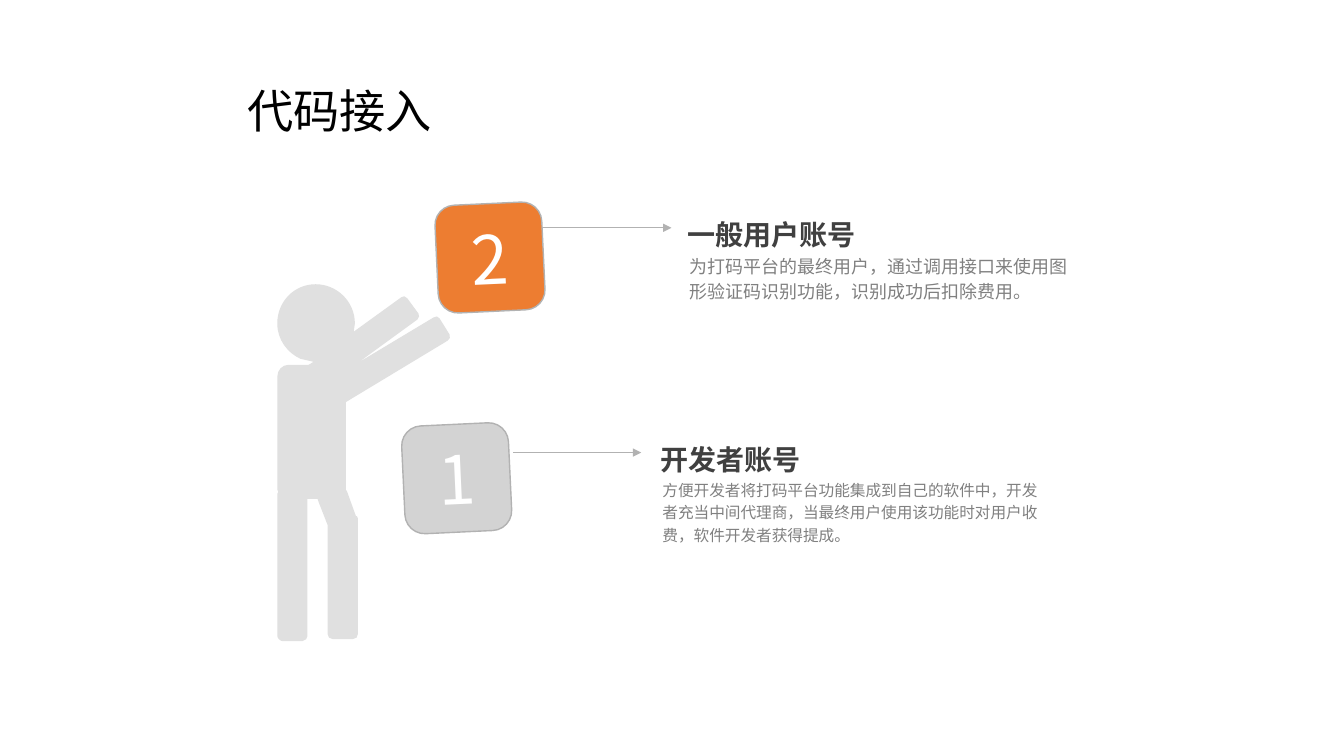
"""Build a slide on the two account types used for code access."""
from lxml import etree
from pptx import Presentation
from pptx.dml.color import RGBColor
from pptx.enum.shapes import MSO_CONNECTOR as Connector, MSO_SHAPE as Preset
from pptx.enum.text import MSO_ANCHOR as Anchor, PP_ALIGN as Align
from pptx.oxml.ns import qn
from pptx.util import Inches, Pt

ORANGE = RGBColor(0xED, 0x7D, 0x31)
LIGHT_GRAY = RGBColor(0xD3, 0xD3, 0xD3)
FIGURE_GRAY = RGBColor(0xE0, 0xE0, 0xE0)
LINE_GRAY = RGBColor(0xB2, 0xB2, 0xB2)
BODY_GRAY = RGBColor(0x80, 0x80, 0x80)
HEADING_GRAY = RGBColor(0x40, 0x40, 0x40)
WHITE = RGBColor(0xFF, 0xFF, 0xFF)
BLACK = RGBColor(0, 0, 0)

FONT = "Calibri"
NUMBER_FONT = "Noto Sans CJK JP"

FIGURE_START = (3.13, 2.82)
FIGURE_SEGMENTS = [
    (3.34, 2.82, 3.52, 2.99, 3.52, 3.21), (3.52, 3.23, 3.51, 3.26, 3.51, 3.28),
    (3.51, 3.29), (3.98, 2.95), (4, 2.93, 4.02, 2.94, 4.04, 2.96),
    (4.15, 3.11), (4.16, 3.13, 4.16, 3.15, 4.14, 3.17), (3.55, 3.6),
    (4.3, 3.15), (4.32, 3.13, 4.35, 3.14, 4.36, 3.16),
    (4.46, 3.32), (4.47, 3.34, 4.46, 3.37, 4.44, 3.38),
    (3.43, 3.99), (3.43, 4.84), (3.43, 4.86), (3.44, 4.87), (3.53, 5.12),
    (3.54, 5.12), (3.55, 5.13, 3.55, 5.15, 3.55, 5.16),
    (3.55, 6.29), (3.55, 6.32, 3.53, 6.34, 3.5, 6.34),
    (3.3, 6.34), (3.27, 6.34, 3.25, 6.32, 3.25, 6.29),
    (3.25, 5.21), (3.16, 4.98), (3.15, 4.95), (3.05, 4.95),
    (3.05, 6.31), (3.05, 6.33, 3.03, 6.36, 3, 6.36),
    (2.8, 6.36), (2.78, 6.36, 2.75, 6.33, 2.75, 6.31),
    (2.75, 4.9), (2.76, 4.88), (2.75, 4.87, 2.75, 4.85, 2.75, 4.84),
    (2.75, 3.74), (2.75, 3.67, 2.8, 3.62, 2.86, 3.62),
    (3.06, 3.62), (3.11, 3.59), (2.98, 3.56),
    (2.85, 3.5, 2.75, 3.37, 2.75, 3.21), (2.75, 2.99, 2.92, 2.82, 3.13, 2.82),
]


def format_paragraph(paragraph, size, color, font=FONT, bold=False, spacing=None):
    """Set the font and line spacing of a whole paragraph."""
    paragraph.font.name = font
    paragraph.font.size = Pt(size)
    paragraph.font.bold = bold
    paragraph.font.color.rgb = color
    paragraph.line_spacing = spacing


def add_title(slide, text):
    """Place and fill the title placeholder."""
    title = slide.shapes.title
    title.left, title.top = Inches(2.35), Inches(0.4)
    title.width, title.height = Inches(8.62), Inches(1.45)
    title.text_frame.text = text
    title.text_frame.vertical_anchor = Anchor.MIDDLE
    paragraph = title.text_frame.paragraphs[0]
    paragraph.alignment = Align.LEFT
    format_paragraph(paragraph, 33, BLACK, spacing=0.9)


def add_number_tile(slide, number, left, top, fill):
    """Add a tilted rounded tile with a large number."""
    tile = slide.shapes.add_shape(
        Preset.ROUNDED_RECTANGLE, Inches(left), Inches(top), Inches(1.06), Inches(1.07))
    tile.adjustments[0] = 0.186
    tile.rotation = 357.3
    tile.shadow.inherit = False
    tile.fill.solid()
    tile.fill.fore_color.rgb = fill
    tile.line.color.rgb = LINE_GRAY
    tile.line.width = Pt(1)
    tile.text_frame.text = number
    tile.text_frame.vertical_anchor = Anchor.MIDDLE
    paragraph = tile.text_frame.paragraphs[0]
    paragraph.alignment = Align.CENTER
    format_paragraph(paragraph, 48, WHITE, NUMBER_FONT)


def add_arrow(slide, left, top):
    """Add a thin horizontal arrow pointing right."""
    arrow = slide.shapes.add_connector(
        Connector.STRAIGHT, Inches(left), Inches(top), Inches(left + 1.27), Inches(top))
    arrow.line.color.rgb = LINE_GRAY
    arrow.line.width = Pt(0.5)
    etree.SubElement(arrow.line._get_or_add_ln(), qn("a:tailEnd"), type="triangle")
    etree.SubElement(arrow._element.spPr, qn("a:effectLst"))


def add_text(slide, text, left, top, width, height, anchor, **style):
    """Add a wrapped text box without margins."""
    box = slide.shapes.add_textbox(
        Inches(left), Inches(top), Inches(width), Inches(height))
    frame = box.text_frame
    frame.word_wrap = True
    frame.vertical_anchor = anchor
    frame.margin_left = frame.margin_right = frame.margin_top = frame.margin_bottom = 0
    frame.text = text
    format_paragraph(frame.paragraphs[0], **style)


def add_account(slide, heading, body, left, top, body_size):
    """Add an account heading with its description below."""
    add_text(slide, body, left + 0.02, top + 0.47, 3.81, 0.66, Anchor.TOP,
             size=body_size, color=BODY_GRAY, spacing=1.2)
    add_text(slide, heading, left, top, 3.84, 0.5, Anchor.MIDDLE,
             size=20, color=HEADING_GRAY, bold=True, spacing=1.3)


def bend_line(line, segment, left, top):
    """Turn a line of an outline into a cubic curve."""
    curve = etree.Element(qn("a:cubicBezTo"))
    for x, y in zip(segment[::2], segment[1::2]):
        etree.SubElement(curve, qn("a:pt"),
                         x=str(Inches(x) - left), y=str(Inches(y) - top))
    line.getparent().replace(line, curve)


def add_figure(slide):
    """Add the person reaching up as one filled outline."""
    corners = [(Inches(x), Inches(y)) for *_, x, y in [FIGURE_START, *FIGURE_SEGMENTS]]
    builder = slide.shapes.build_freeform(*corners[0])
    builder.add_line_segments(corners[1:], close=True)
    figure = builder.convert_to_shape()
    lines = list(figure._element.iter(qn("a:lnTo")))
    for line, segment in zip(lines, FIGURE_SEGMENTS):
        if len(segment) == 6:
            bend_line(line, segment, figure.left, figure.top)
    figure.shadow.inherit = False
    figure.fill.solid()
    figure.fill.fore_color.rgb = FIGURE_GRAY
    figure.line.fill.background()


def main():
    """Create and save the presentation."""
    presentation = Presentation()
    presentation.slide_width, presentation.slide_height = Inches(13.33), Inches(7.5)
    slide = presentation.slides.add_slide(presentation.slide_layouts[5])
    add_title(slide, "代码接入")
    add_number_tile(slide, "1", 4, 4.21, LIGHT_GRAY)
    add_arrow(slide, 5.09, 4.49)
    add_number_tile(slide, "2", 4.33, 2.02, ORANGE)
    add_arrow(slide, 5.39, 2.26)
    add_figure(slide)
    add_account(slide, "一般用户账号",
                "为打码平台的最终用户，通过调用接口来使用图形验证码识别功能，识别成功后扣除费用。",
                6.82, 2.02, 12.8)
    add_account(slide, "开发者账号",
                "方便开发者将打码平台功能集成到自己的软件中，开发者充当中间代理商，"
                "当最终用户使用该功能时对用户收费，软件开发者获得提成。",
                6.55, 4.26, 11.2)
    presentation.save("out.pptx")


if __name__ == "__main__":
    main()
